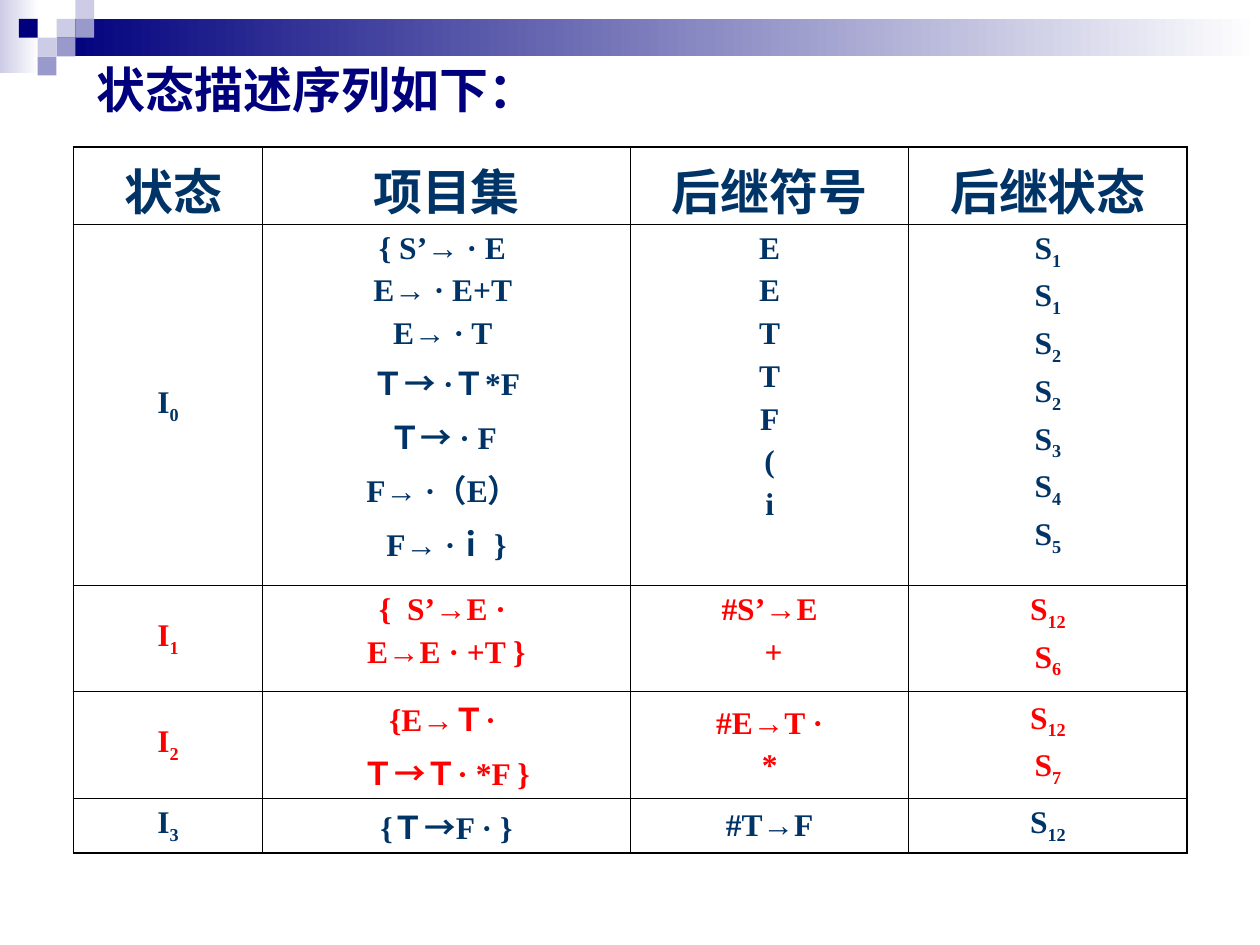
from lxml.etree import SubElement
from pptx import Presentation
from pptx.dml.color import RGBColor
from pptx.enum.shapes import MSO_SHAPE
from pptx.enum.text import MSO_ANCHOR, MSO_AUTO_SIZE, PP_ALIGN
from pptx.oxml.ns import qn
from pptx.util import Cm, Pt

COLORS = {
    "navy": "00007D", "lavender": "CCCCE6", "violet": "9999CC",
    "white": "FFFFFF", "text": "003366", "red": "FF0000", "border": "000000",
}
CJK_FONT = "Noto Sans CJK SC"
SQUARE = 0.38
SQUARES = [
    (3, 1, "lavender"), (4, 0, "lavender"), (4, 1, "violet"), (2, 2, "lavender"),
    (1, 1, "navy"), (3, 2, "violet"), (2, 3, "violet"),
]
COLUMN_WIDTHS = [3.81, 7.42, 5.61, 5.61]
ROW_HEIGHTS = [1.42, 7.28, 2.13, 2.15, 1.11]
ROW_COLORS = ["text", "text", "red", "red", "text"]
FIRST_MIDDLE_ROW = 3
ROWS = [
    [[" 状态"], ["项目集"], ["后继符号"], ["后继状态"]],
    [
        ["I_0"],
        ["{ S’→ · E ", "E→ · E+T ", "E→ · T ", "Ｔ→ ·Ｔ*F", "Ｔ→ · F ",
         "F→ ·（E） ", "F→ ·ｉ }"],
        ["E", "E", "T", "T", "F", "(", "i"],
        ["S_1", "S_1", "S_2", "S_2", "S_3", "S_4", "S_5"],
    ],
    [["I_1"], ["{  S’→E · ", "E→E · +T }"], ["#S’→E", " +"], ["S_12", "S_6"]],
    [["I_2"], ["{E→Ｔ· ", "Ｔ→Ｔ· *F }"], ["#E→T ·", "*"], ["S_12", "S_7"]],
    [["I_3"], ["{Ｔ→F · }"], ["#T→F"], ["S_12"]],
]


def rgb(name):
    return RGBColor.from_string(COLORS[name])


def format_run(run, size, font_name, color):
    run.font.size = Pt(size)
    run.font.bold = True
    run.font.name = font_name
    run.font.color.rgb = rgb(color)
    SubElement(run.font._element, qn("a:ea"), typeface=CJK_FONT)


def add_rectangle(slide, left, top, width, height, color, end_color=None):
    shape = slide.shapes.add_shape(
        MSO_SHAPE.RECTANGLE, Cm(left), Cm(top), Cm(width), Cm(height))
    shape.shadow.inherit = False
    shape.line.fill.background()
    if end_color is None:
        shape.fill.solid()
        shape.fill.fore_color.rgb = rgb(color)
        return
    shape.fill.gradient()
    shape.fill.gradient_angle = 0
    for stop, position, name in zip(
            shape.fill.gradient_stops, (0, 1), (color, end_color)):
        stop.position = position
        stop.color.rgb = rgb(name)


def add_decoration(slide):
    add_rectangle(slide, 0, 0, 0.79, 1.47, "lavender", "white")
    add_rectangle(slide, 3 * SQUARE, SQUARE, 24.26, 0.76, "navy", "white")
    for column, row, color in SQUARES:
        add_rectangle(slide, column * SQUARE, row * SQUARE, SQUARE, SQUARE, color)


def format_title(slide, text):
    title = slide.shapes.title
    title.left, title.top, title.width, title.height = (
        Cm(1.7), Cm(1.07), Cm(9.73), Cm(1.45))
    text_frame = title.text_frame
    text_frame.text = text
    text_frame.word_wrap = True
    text_frame.auto_size = MSO_AUTO_SIZE.NONE
    text_frame.vertical_anchor = MSO_ANCHOR.MIDDLE
    paragraph = text_frame.paragraphs[0]
    paragraph.alignment = PP_ALIGN.LEFT
    format_run(paragraph.runs[0], 28, CJK_FONT, "navy")
    slide.shapes._spTree.append(title._element)


def set_borders(cell, outer_sides):
    properties = cell._tc.get_or_add_tcPr()
    for side, outer in zip("LRTB", outer_sides):
        width = Pt(1.08 if outer else 0.45)
        line = SubElement(properties, qn(f"a:ln{side}"), w=str(width))
        fill = SubElement(line, qn("a:solidFill"))
        SubElement(fill, qn("a:srgbClr"), val=COLORS["border"])


def fill_cell(cell, lines, size, font_name, color, middle):
    cell.fill.background()
    cell.vertical_anchor = MSO_ANCHOR.MIDDLE if middle else MSO_ANCHOR.TOP
    cell.margin_top = Cm(0.05 if middle else 0.13)
    cell.margin_bottom = Cm(0.05 if middle else 0)
    text_frame = cell.text_frame
    for index, line in enumerate(lines):
        paragraph = text_frame.add_paragraph() if index else text_frame.paragraphs[0]
        paragraph.alignment = PP_ALIGN.CENTER
        if index:
            paragraph.space_before = Pt(4.5)
        base, _, subscript = line.partition("_")
        paragraph.text = base
        if subscript:
            run = paragraph.add_run()
            run.text = subscript
            run.font._element.set("baseline", "-25000")
        for run in paragraph.runs:
            format_run(run, size, font_name, color)


def add_state_table(slide):
    last_row, last_column = len(ROWS) - 1, len(COLUMN_WIDTHS) - 1
    table = slide.shapes.add_table(
        len(ROWS), len(COLUMN_WIDTHS), Cm(1.48), Cm(2.97),
        Cm(sum(COLUMN_WIDTHS)), Cm(sum(ROW_HEIGHTS))).table
    table.first_row = False
    table.horz_banding = False
    for column, width in zip(table.columns, COLUMN_WIDTHS):
        column.width = Cm(width)
    for row_index, row in enumerate(ROWS):
        table.rows[row_index].height = Cm(ROW_HEIGHTS[row_index])
        size, font_name = (18, "Times New Roman") if row_index else (28, "Arial")
        for column_index, lines in enumerate(row):
            cell = table.cell(row_index, column_index)
            set_borders(cell, (column_index == 0, column_index == last_column,
                               row_index == 0, row_index == last_row))
            middle = row_index >= FIRST_MIDDLE_ROW or (
                row_index > 0 and column_index == 0)
            fill_cell(cell, lines, size, font_name, ROW_COLORS[row_index], middle)


def main():
    presentation = Presentation()
    presentation.slide_width = Cm(25.4)
    presentation.slide_height = Cm(19.05)
    slide = presentation.slides.add_slide(presentation.slide_layouts[5])
    add_decoration(slide)
    format_title(slide, "状态描述序列如下：")
    add_state_table(slide)
    presentation.save("out.pptx")


if __name__ == "__main__":
    main()
